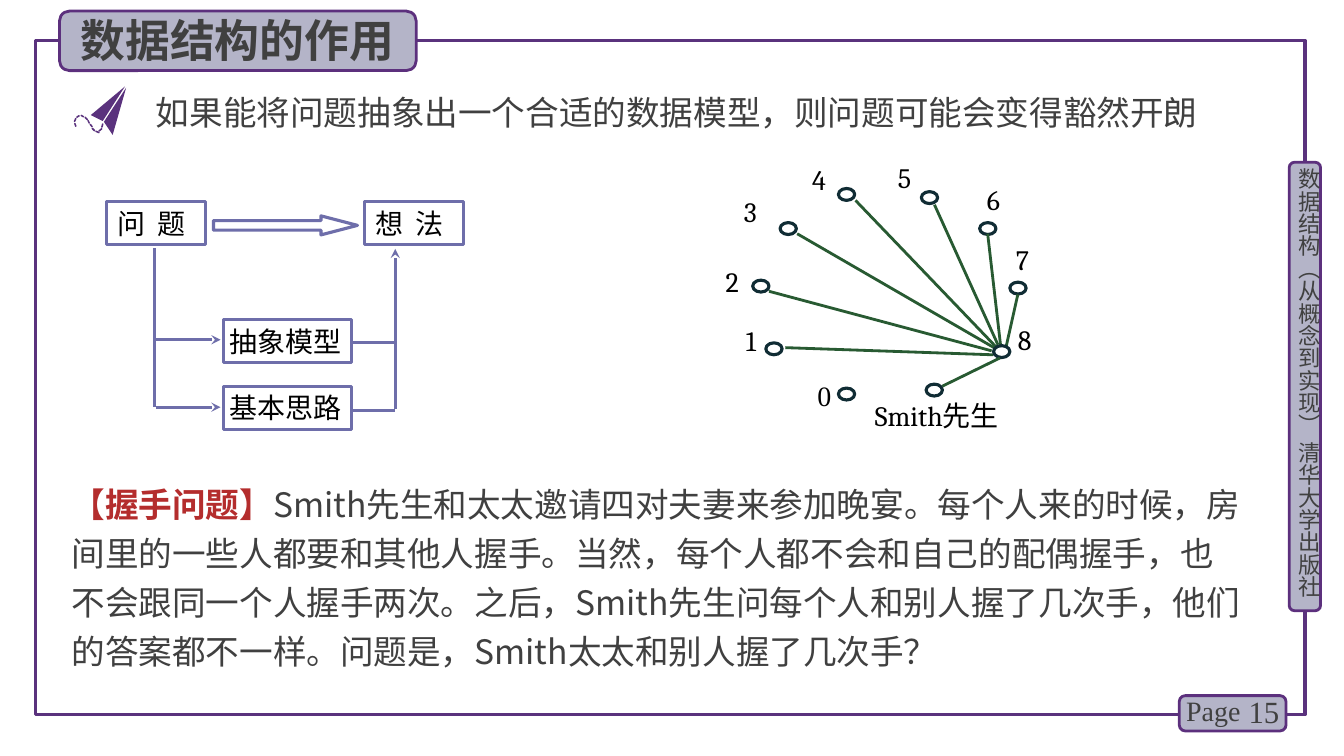
from math import atan2, cos, pi, sin

from lxml.etree import SubElement
from pptx import Presentation
from pptx.dml.color import RGBColor
from pptx.enum.shapes import MSO_CONNECTOR, MSO_SHAPE
from pptx.enum.text import MSO_ANCHOR, MSO_AUTO_SIZE, PP_ALIGN
from pptx.oxml.ns import qn
from pptx.util import Cm, Pt

COLORS = {
    "frame": "5A327D", "badge": "B4B4C8", "badge_line": "5C307D",
    "text": "404040", "black": "000000", "accent": "B42D2D",
    "flow": "6E6EAA", "node": "102C34", "handshake": "285A32",
}
SANS, SERIF, ROMAN = "Noto Sans CJK SC", "Cambria", "Times New Roman"
DEFAULT_INSETS = (0.25, 0.13, 0.25, 0.13)
LABEL_INSETS = (0, 0.03, 0, 0.03)

# Guest: node corner, label corner, handshake line (start, end)
GUESTS = {
    "0": ((21.13, 9.78), (20.6, 9.5), None),
    "1": ((19.3, 8.64), (18.8, 8.13), ((19.79, 8.76), (25.02, 8.94))),
    "2": ((18.97, 7.06), (18.29, 6.63), ((19.38, 7.34), (24.99, 8.84))),
    "3": ((19.66, 5.61), (18.75, 4.88), ((20.09, 5.89), (25.1, 8.79))),
    "4": ((21.13, 4.75), (20.47, 4.06), ((21.56, 5.05), (25.1, 8.74))),
    "5": ((23.22, 4.83), (22.63, 4.01), ((23.55, 5.16), (25.15, 8.69))),
    "6": ((24.69, 5.61), (24.87, 4.57), ((24.89, 5.89), (25.22, 8.74))),
    "7": ((25.45, 7.11), (25.6, 6.07), ((25.65, 7.42), (25.35, 8.76))),
    "8": ((25.04, 8.71), (25.65, 8.1), None),
    "Smith先生": ((23.34, 9.68), (22.05, 10.01), ((25.2, 9.02), (23.75, 9.73))),
}

# Dashes of the paper plane's trail (start, end)
TRAIL = [
    ((2.59, 3.13), (2.57, 3.2)), ((2.56, 3.25), (2.5, 3.3)),
    ((2.49, 3.34), (2.42, 3.31)), ((2.38, 3.29), (2.33, 3.24)),
    ((2.32, 3.19), (2.28, 3.14)), ((2.25, 3.1), (2.22, 3.04)),
    ((2.2, 3.01), (2.15, 2.96)), ((2.1, 2.94), (2.05, 2.91)),
    ((1.99, 2.92), (1.94, 2.95)), ((1.91, 2.99), (1.88, 3.06)),
    ((1.89, 3.12), (1.91, 3.18)),
]


def color(name):
    return RGBColor.from_string(COLORS[name])


def place(shape, left, top, width, height):
    shape.left, shape.top = Cm(left), Cm(top)
    shape.width, shape.height = Cm(width), Cm(height)


def format_frame(frame, insets=DEFAULT_INSETS, anchor=MSO_ANCHOR.TOP):
    frame.word_wrap = True
    frame.auto_size = MSO_AUTO_SIZE.NONE
    frame.vertical_anchor = anchor
    frame.margin_left, frame.margin_top, frame.margin_right, frame.margin_bottom = map(Cm, insets)


def format_paragraph(paragraph, size, font_name=SANS, tint="text", bold=False,
                     align=PP_ALIGN.LEFT, spacing=None):
    paragraph.alignment = align
    paragraph.space_before = Pt(0)
    font = paragraph.font
    font.size, font.name, font.bold = Pt(size), font_name, bold
    font.color.rgb = color(tint)
    defaults = paragraph._p.pPr.find(qn("a:defRPr"))
    SubElement(defaults, qn("a:ea")).set("typeface", SANS)
    if spacing:
        defaults.set("spc", str(spacing))


def add_text(slide, text, box, size, insets=DEFAULT_INSETS, anchor=MSO_ANCHOR.TOP, **style):
    shape = slide.shapes.add_textbox(*map(Cm, box))
    format_frame(shape.text_frame, insets, anchor)
    shape.text_frame.text = text
    format_paragraph(shape.text_frame.paragraphs[0], size, **style)
    return shape


def add_outline(slide, kind, box, line, width=2.25, fill=None):
    shape = slide.shapes.add_shape(kind, *map(Cm, box))
    shape.shadow.inherit = False
    if fill:
        shape.fill.solid()
        shape.fill.fore_color.rgb = color(fill)
    else:
        shape.fill.background()
    shape.line.color.rgb = color(line)
    shape.line.width = Pt(width)
    return shape


def add_badge(slide, box):
    add_outline(slide, MSO_SHAPE.ROUNDED_RECTANGLE, box, "badge_line", 2, "badge")


def add_flow_box(slide, text, box, indent=0.15, spacing=None):
    shape = add_outline(slide, MSO_SHAPE.RECTANGLE, box, "flow")
    format_frame(shape.text_frame, (indent, 0.03, 0.15, 0.03), MSO_ANCHOR.MIDDLE)
    shape.text_frame.text = text
    format_paragraph(shape.text_frame.paragraphs[0], 20, tint="black", spacing=spacing)


def add_line(slide, start, end, tint, width=2.25, arrow=False):
    connector = slide.shapes.add_connector(MSO_CONNECTOR.STRAIGHT, *map(Cm, start + end))
    connector.line.color.rgb = color(tint)
    connector.line.width = Pt(width)
    if arrow:
        SubElement(connector.line._get_or_add_ln(), qn("a:tailEnd")).set("type", "stealth")
    SubElement(connector.element.spPr, qn("a:effectLst"))


def add_polygon(slide, points):
    corners = [(Cm(x), Cm(y)) for x, y in points]
    builder = slide.shapes.build_freeform(*corners[0])
    builder.add_line_segments(corners[1:], close=True)
    shape = builder.convert_to_shape()
    shape.shadow.inherit = False
    shape.fill.solid()
    shape.fill.fore_color.rgb = color("frame")
    shape.line.fill.background()


def add_dash(slide, start, end, radius=0.02):
    """Short dash with rounded ends, as a closed outline."""
    angle = atan2(end[1] - start[1], end[0] - start[0])
    points = []
    for (x, y), turn in ((start, pi / 2), (end, -pi / 2)):
        for step in range(5):
            bearing = angle + turn + step * pi / 4
            points.append((x + radius * cos(bearing), y + radius * sin(bearing)))
    add_polygon(slide, points)


def add_frame(slide):
    add_outline(slide, MSO_SHAPE.RECTANGLE, (0.89, 1.02, 32, 16.99), "frame")
    # Side label
    add_badge(slide, (32.49, 4.09, 0.79, 11.3))
    label = add_text(slide, "数据结构（从概念到实现） 清华大学出版社",
                     (32.64, 4.24, 0.69, 11.4), 16, insets=(0, 0, 0, 0))
    label.text_frame._txBody.bodyPr.set("vert", "eaVert")
    # Page number
    add_badge(slide, (29.72, 17.53, 2.69, 0.89))
    add_text(slide, "15", (30.99, 17.42, 1.5, 1.02), 22, anchor=MSO_ANCHOR.MIDDLE,
             font_name=ROMAN, align=PP_ALIGN.RIGHT)
    add_text(slide, "Page", (29.64, 17.35, 1.98, 1.12), 20, font_name=ROMAN)


def fill_title(slide):
    add_badge(slide, (1.5, 0.28, 8.99, 1.5))
    title = slide.shapes.title
    place(title, 1.78, 0.18, 8.69, 1.63)
    format_frame(title.text_frame)
    title.text_frame.text = "数据结构的作用"
    format_paragraph(title.text_frame.paragraphs[0], 32, bold=True)
    # Bring the title in front of its badge
    title.element.getparent().append(title.element)


def fill_body(slide):
    body = slide.placeholders[1]
    place(body, 1.55, 11.84, 30, 5.13)
    format_frame(body.text_frame)
    paragraph = body.text_frame.paragraphs[0]
    properties = paragraph._p.get_or_add_pPr()
    properties.set("marL", "0")
    properties.set("indent", "0")
    SubElement(properties, qn("a:buNone"))
    paragraph.line_spacing = Pt(35)
    heading = paragraph.add_run()
    heading.text = "【握手问题】"
    heading.font.bold = True
    heading.font.color.rgb = color("accent")
    paragraph.add_run().text = (
        "Smith先生和太太邀请四对夫妻来参加晚宴。每个人来的时候，"
        "房间里的一些人都要和其他人握手。当然，每个人都不会和自己的配偶握手，"
        "也不会跟同一个人握手两次。之后，Smith先生问每个人和别人握了几次手，"
        "他们的答案都不一样。问题是，Smith太太和别人握了几次手？")
    format_paragraph(paragraph, 24)


def add_lead(slide):
    add_text(slide, "如果能将问题抽象出一个合适的数据模型，则问题可能会变得豁然开朗",
             (3.68, 2.18, 27.33, 1.27), 24)
    add_polygon(slide, [(3.18, 2.21), (2.84, 3.4), (2.62, 3.07)])
    add_polygon(slide, [(3.15, 2.18), (2.59, 3.05), (2.29, 2.9)])
    for start, end in TRAIL:
        add_dash(slide, start, end)


def add_flow(slide):
    for text, left in (("问 题", 2.69), ("想 法", 9.19)):
        add_flow_box(slide, text, (left, 5.08, 2.49, 1.09), indent=0.27, spacing=225)
    for text, top in (("抽象模型", 8.05), ("基本思路", 9.73)):
        add_flow_box(slide, text, (5.64, top, 3.23, 1.09))
    arrow = add_outline(slide, MSO_SHAPE.RIGHT_ARROW, (5.38, 5.44, 3.63, 0.48), "flow")
    arrow.adjustments[1] = 1.918
    add_line(slide, (3.89, 6.25), (3.89, 10.26), "flow")
    for y in (8.56, 10.26):
        add_line(slide, (3.94, y), (5.56, y), "flow", arrow=True)
    add_line(slide, (9.96, 10.31), (9.96, 6.27), "flow", arrow=True)
    for y in (8.64, 10.34):
        add_line(slide, (8.9, y), (9.96, y), "flow")


def add_handshakes(slide):
    for name, (node, label, handshake) in GUESTS.items():
        width = 0.5 if name.isdigit() else 3.73
        add_text(slide, name, (*label, width, 0.97), 20, insets=LABEL_INSETS,
                 font_name=ROMAN if name == "0" else SERIF, tint="black")
        add_outline(slide, MSO_SHAPE.OVAL, (*node, 0.41, 0.3), "node")
        if handshake:
            add_line(slide, *handshake, "handshake", 2)


def main():
    presentation = Presentation()
    presentation.slide_width, presentation.slide_height = Cm(33.87), Cm(19.05)
    slide = presentation.slides.add_slide(presentation.slide_layouts[1])
    add_frame(slide)
    fill_title(slide)
    add_flow(slide)
    fill_body(slide)
    add_lead(slide)
    add_handshakes(slide)
    presentation.save("out.pptx")


if __name__ == "__main__":
    main()
